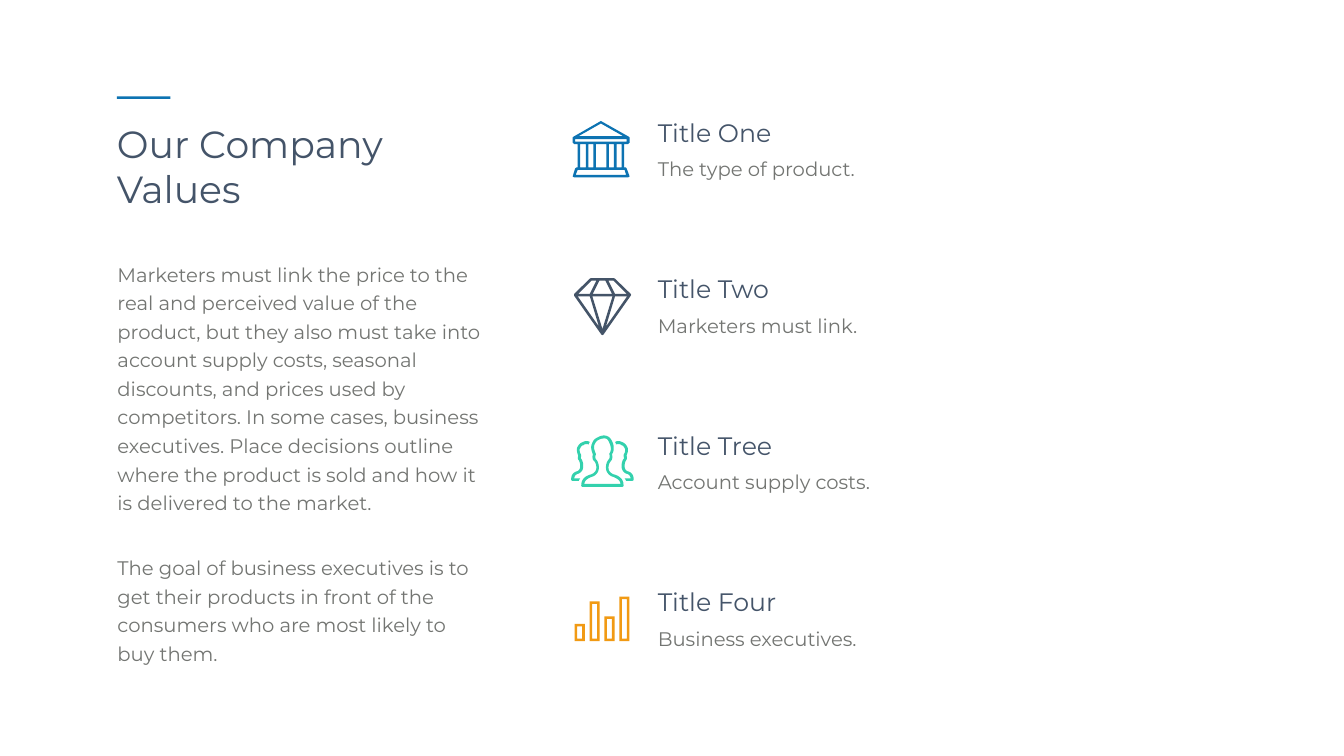
from dataclasses import dataclass
from itertools import chain

from lxml.etree import SubElement
from pptx import Presentation
from pptx.dml.color import RGBColor
from pptx.enum.shapes import MSO_SHAPE as Preset
from pptx.enum.text import MSO_ANCHOR as Anchor, MSO_AUTO_SIZE as AutoSize, PP_ALIGN as Align
from pptx.oxml.ns import qn
from pptx.util import Inches, Pt

FONT = "Montserrat"
NAVY, GRAY, BLUE = "445469", "737572", "0D73B2"
ITEM_TOP, ITEM_PITCH, ITEM_LEFT, ITEM_WIDTH = 2.27, 3.107, 12.95, 4.47
CURVE_STEPS = 8

Point = tuple[float, float]
Contour = list[Point]


@dataclass
class Icon:
    left: float
    top: float
    color: str
    contours: list[Contour]


@dataclass
class Value:
    title: str
    detail: str
    icon: Icon


def rgb(color: str) -> RGBColor:
    return RGBColor.from_string(color)


def rectangle(left: float, top: float, right: float, bottom: float) -> Contour:
    return [(left, top), (right, top), (right, bottom), (left, bottom)]


def bezier(points: list[Point], t: float) -> Point:
    while len(points) > 1:
        points = [
            (a[0] + (b[0] - a[0]) * t, a[1] + (b[1] - a[1]) * t)
            for a, b in zip(points, points[1:])
        ]
    return points[0]


def curved(*segments: tuple[float, ...]) -> Contour:
    contour = [segments[0]]
    for segment in segments[1:]:
        controls = [contour[-1], *zip(segment[::2], segment[1::2])]
        steps = CURVE_STEPS if len(controls) > 2 else 1
        contour += [bezier(controls, step / steps) for step in range(1, steps + 1)]
    return contour


def bank() -> list[Contour]:
    outline = [
        (56, 0), (111, 31), (113, 33), (113, 43), (110, 46), (102, 46), (102, 92),
        (105, 92), (107, 94), (113, 110), (110, 112), (3, 112), (0, 110), (5, 94),
        (8, 92), (10, 92), (10, 46), (3, 46), (0, 43), (0, 33), (2, 31),
    ]
    columns = [(15, 26), (31, 41), (46, 67), (72, 82), (87, 97)]
    return [
        outline,
        [(56, 5), (100, 30), (12, 30)],
        rectangle(5, 36, 107, 41),
        *(rectangle(left, 46, right, 92) for left, right in columns),
        [(103, 97), (106, 107), (6, 107), (10, 97)],
    ]


def diamond() -> list[Contour]:
    return [
        [(33, 0), (79, 0), (81, 1), (112, 31), (113, 33), (112, 35), (58, 112),
         (56, 113), (54, 112), (0, 35), (0, 31), (31, 1)],
        [(63, 96), (81, 36), (105, 36)],
        [(56, 101), (36, 36), (76, 36)],
        [(7, 36), (31, 36), (49, 96)],
        [(34, 5), (44, 5), (31, 31), (8, 31)],
        [(62, 5), (75, 31), (37, 31), (50, 5)],
        [(78, 5), (104, 31), (81, 31), (68, 5)],
    ]


def people() -> list[Contour]:
    front = curved(
        (84, 77), (84, 77, 74, 74, 74, 64), (74, 55, 79, 51, 80, 49),
        (80, 49, 83, 46, 81, 37), (85, 32, 86, 23, 82, 13), (79, 7, 77, 4, 73, 2),
        (71, 1, 68, 0, 65, 0), (60, 0, 56, 2, 54, 3), (48, 6, 44, 8, 41, 17),
        (38, 24, 41, 32, 43, 37), (41, 46, 44, 49, 44, 49), (46, 51, 50, 55, 50, 64),
        (50, 74, 40, 77, 40, 77), (33, 79, 20, 83, 20, 99), (20, 99, 20, 102, 23, 102),
        (101, 102), (104, 102, 104, 99, 104, 99), (104, 83, 91, 79, 84, 77),
    )
    hole = curved(
        (26, 96), (27, 88, 34, 85, 41, 82), (46, 81, 55, 75, 55, 64),
        (55, 54, 51, 49, 49, 47), (48, 45, 47, 43, 49, 38), (49, 35, 48, 34, 48, 34),
        (47, 31, 44, 24, 46, 19), (49, 12, 51, 10, 56, 8), (58, 7, 61, 6, 65, 6),
        (68, 6, 69, 6, 71, 7), (72, 8, 74, 10, 76, 15), (81, 26, 78, 32, 77, 34),
        (76, 35, 75, 37, 76, 38), (77, 43, 76, 45, 75, 47), (73, 49, 69, 54, 69, 64),
        (69, 75, 78, 81, 83, 82), (90, 85, 97, 88, 98, 96),
    )
    right = curved(
        (112, 71), (112, 71, 106, 69, 106, 61), (106, 54, 108, 51, 109, 49),
        (109, 49, 112, 47, 110, 40), (111, 37, 114, 30, 112, 24),
        (109, 18, 107, 16, 103, 14), (101, 13, 97, 11, 93, 11), (91, 11, 89, 12, 87, 13),
        (88, 14, 89, 16, 89, 18), (90, 17, 92, 17, 93, 17), (96, 17, 99, 18, 99, 19),
        (103, 20, 104, 21, 107, 27), (108, 30, 106, 35, 105, 37),
        (104, 38, 104, 40, 104, 41), (105, 44, 105, 46, 105, 46), (104, 46),
        (103, 48, 100, 52, 100, 61), (100, 71, 107, 75, 110, 76),
        (114, 77, 117, 79, 118, 85), (106, 85), (107, 86, 108, 88, 109, 90), (121, 90),
        (124, 90, 124, 87, 124, 87), (124, 76, 117, 72, 112, 71),
    )
    return [front, hole, right, [(124 - x, y) for x, y in right]]


def bars() -> list[Contour]:
    columns = [(29.5 * index, top) for index, top in enumerate((54, 9, 39, 0))]
    return list(chain.from_iterable(
        (rectangle(left, top, left + 20, 88), rectangle(left + 5, top + 5, left + 15, 83))
        for left, top in columns
    ))


def paint(shape, color: str) -> None:
    shape.shadow.inherit = False
    shape.fill.solid()
    shape.fill.fore_color.rgb = rgb(color)
    shape.line.fill.background()


def draw_icon(slide, icon: Icon) -> None:
    builder = None
    for contour in icon.contours:
        start, *others = [
            (Inches(icon.left + x / 100), Inches(icon.top + y / 100)) for x, y in contour
        ]
        if builder is None:
            builder = slide.shapes.build_freeform(*start)
        else:
            builder.move_to(*start)
        builder.add_line_segments(others, close=True)
    paint(builder.convert_to_shape(), icon.color)


def set_text(shape, box: tuple[float, ...], paragraphs: list[str], size: float, color: str,
             insets: Point = (0.1, 0.05), **spacing) -> None:
    shape.left, shape.top, shape.width, shape.height = map(Inches, box)
    frame = shape.text_frame
    frame.text = "\n".join(paragraphs)
    across, down = map(Inches, insets)
    frame_format = {
        "word_wrap": True, "auto_size": AutoSize.SHAPE_TO_FIT_TEXT,
        "vertical_anchor": Anchor.TOP, "margin_left": across, "margin_right": across,
        "margin_top": down, "margin_bottom": down,
    }
    for name, value in frame_format.items():
        setattr(frame, name, value)
    paragraph_format = {"alignment": Align.LEFT, "space_before": Pt(0), **spacing}
    for paragraph in frame.paragraphs:
        properties = paragraph._p.get_or_add_pPr()
        properties.set("marL", "0")
        properties.set("indent", "0")
        SubElement(properties, qn("a:buNone"))
        for name, value in paragraph_format.items():
            setattr(paragraph, name, value)
        for name, value in {"name": FONT, "size": Pt(size)}.items():
            setattr(paragraph.font, name, value)
        paragraph.font.color.rgb = rgb(color)


def draw_value(slide, value: Value, top: float) -> None:
    for text, offset, height, size, color in (
        (value.title, 0, 0.71, 36, NAVY), (value.detail, 0.8, 0.57, 28, GRAY)
    ):
        box = (ITEM_LEFT, top + offset, ITEM_WIDTH, height)
        set_text(slide.shapes.add_textbox(0, 0, 0, 0), box, [text], size, color)
    draw_icon(slide, value.icon)


def main() -> None:
    presentation = Presentation()
    presentation.slide_width, presentation.slide_height = Inches(26.66), Inches(15)
    slide = presentation.slides.add_slide(presentation.slide_layouts[1])
    set_text(slide.shapes.title, (2.22, 2.34, 5.72, 1.92), ["Our Company Values"], 54, NAVY)
    body = slide.placeholders[1]
    set_text(body, (2.09, 4.99, 7.73, 8.43), [
        "Marketers must link the price to the real and perceived value of the product, but they also must take into account supply costs, seasonal discounts, and prices used by competitors. In some cases, business executives. Place decisions outline where the product is sold and how it is delivered to the market.",
        "The goal of business executives is to get their products in front of the consumers who are most likely to buy them.",
    ], 28, GRAY, insets=(0.24, 0.12), line_spacing=Pt(40.8))
    body.text_frame.paragraphs[1].space_before = Pt(52)
    accent = slide.shapes.add_shape(
        Preset.RECTANGLE, *map(Inches, (2.32, 1.91, 1.06, 0.05)))
    paint(accent, BLUE)
    values = [
        Value("Title One", "The type of product.", Icon(11.36, 2.4, BLUE, bank())),
        Value("Title Two", "Marketers must link.", Icon(11.39, 5.52, "445468", diamond())),
        Value("Title Tree", "Account supply costs.", Icon(11.33, 8.64, "33D1AD", people())),
        Value("Title Four", "Business executives.", Icon(11.4, 11.84, "F19A14", bars())),
    ]
    for index, value in enumerate(values):
        draw_value(slide, value, ITEM_TOP + index * ITEM_PITCH)
    presentation.save("out.pptx")


if __name__ == "__main__":
    main()
